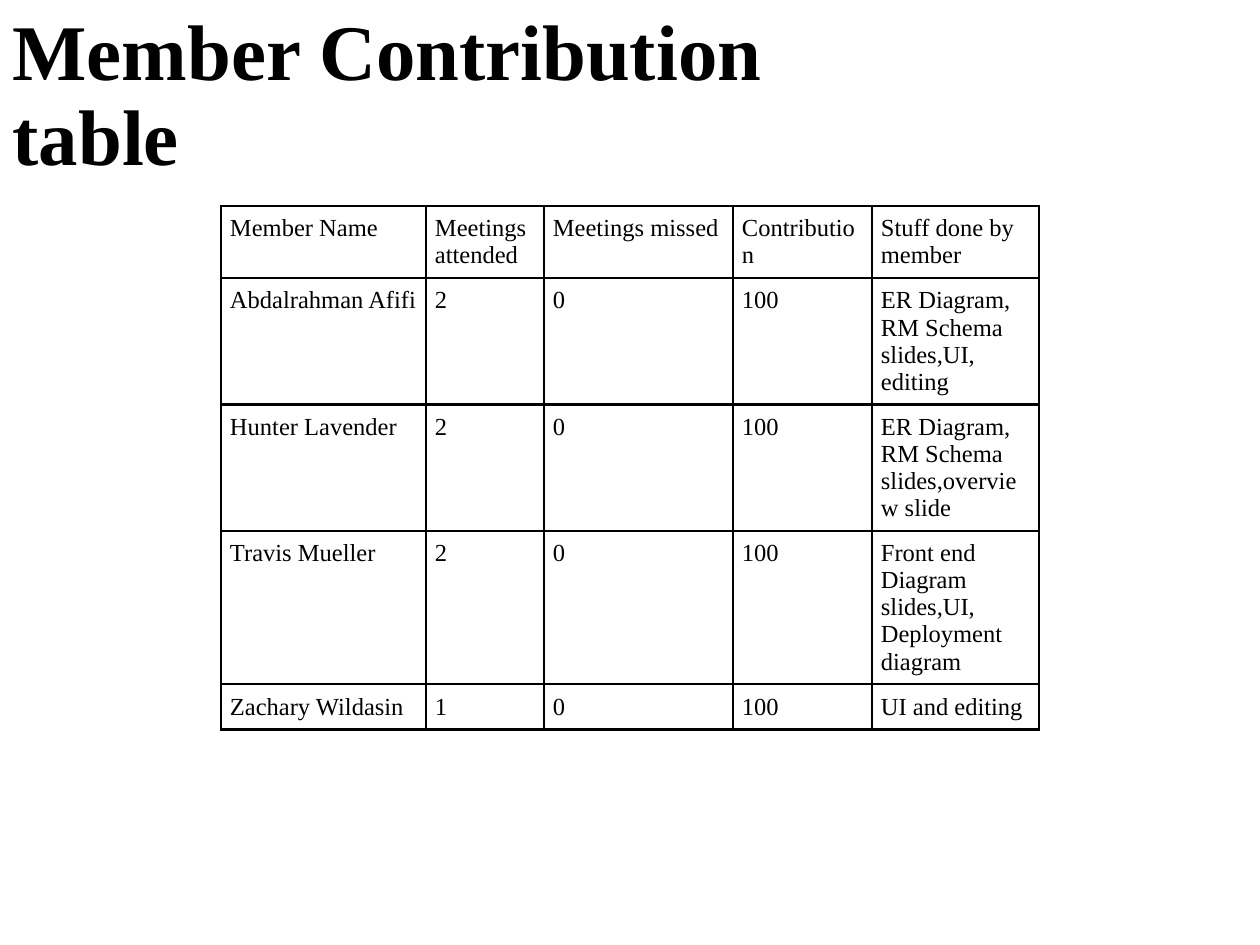
import pptx
import pptx.util
import pptx.dml.color
import pptx.enum.text
import pptx.oxml
import pptx.oxml.ns

SCALE = 914400 / 126
FONT = "Times New Roman"
BLACK = "000000"


def px(n):
    """Turn pixels into EMU."""
    return pptx.util.Emu(round(n * SCALE))


def style(p, size, color, bold=False):
    p.font.name = FONT
    p.font.size = pptx.util.Pt(size)
    p.font.bold = bold
    p.font.color.rgb = pptx.dml.color.RGBColor.from_string(color)
    p.alignment = pptx.enum.text.PP_ALIGN.LEFT


prs = pptx.Presentation()
prs.slide_width, prs.slide_height = px(1260), px(945)
s = prs.slides.add_slide(prs.slide_layouts[0])
subtitle = s.placeholders[1].element
subtitle.getparent().remove(subtitle)

title = s.shapes.title
title.left, title.top, title.width, title.height = px(0), px(0), px(945), px(189)
tf = title.text_frame
tf.text = "Member Contribution table"
tf.word_wrap = True
tf.auto_size = pptx.enum.text.MSO_AUTO_SIZE.NONE
tf.vertical_anchor = pptx.enum.text.MSO_ANCHOR.BOTTOM
p = tf.paragraphs[0]
p.line_spacing = 0.9
style(p, 45, BLACK, bold=True)

rows = [
    ("Member Name", "Meetings attended", "Meetings missed", "Contribution",
     "Stuff done by member"),
    ("Abdalrahman Afifi", "2", "0", "100", "ER Diagram, RM Schema slides,UI, editing"),
    ("Hunter Lavender", "2", "0", "100", "ER Diagram, RM Schema slides,overview slide"),
    ("Travis Mueller", "2", "0", "100",
     "Front end Diagram slides,UI, Deployment diagram"),
    ("Zachary Wildasin", "1", "0", "100", "UI and editing"),
]
col_widths = [205, 118, 189, 139, 167]
row_heights = [72, 126, 126, 153, 44]

table = s.shapes.add_table(len(rows), len(col_widths), px(221), px(206),
                           px(sum(col_widths)), px(sum(row_heights))).table
table.first_row = False
table.horz_banding = False
for column, width in zip(table.columns, col_widths):
    column.width = px(width)
for row, height in zip(table.rows, row_heights):
    row.height = px(height)

for i, row in enumerate(rows):
    for j, text in enumerate(row):
        cell = table.cell(i, j)
        cell.text = text
        cell.margin_left = cell.margin_right = px(9)
        cell.margin_top = cell.margin_bottom = px(9)
        style(cell.text_frame.paragraphs[0], 14, BLACK)
        cell.fill.background()
        tcPr = cell._tc.get_or_add_tcPr()
        for k, side in enumerate(("lnL", "lnR", "lnT", "lnB")):
            tcPr.insert(k, pptx.oxml.parse_xml(
                f'<a:{side} {pptx.oxml.ns.nsdecls("a")} w="{pptx.util.Pt(1.5)}">'
                f'<a:solidFill><a:srgbClr val="{BLACK}"/></a:solidFill></a:{side}>'))

prs.save("out.pptx")
